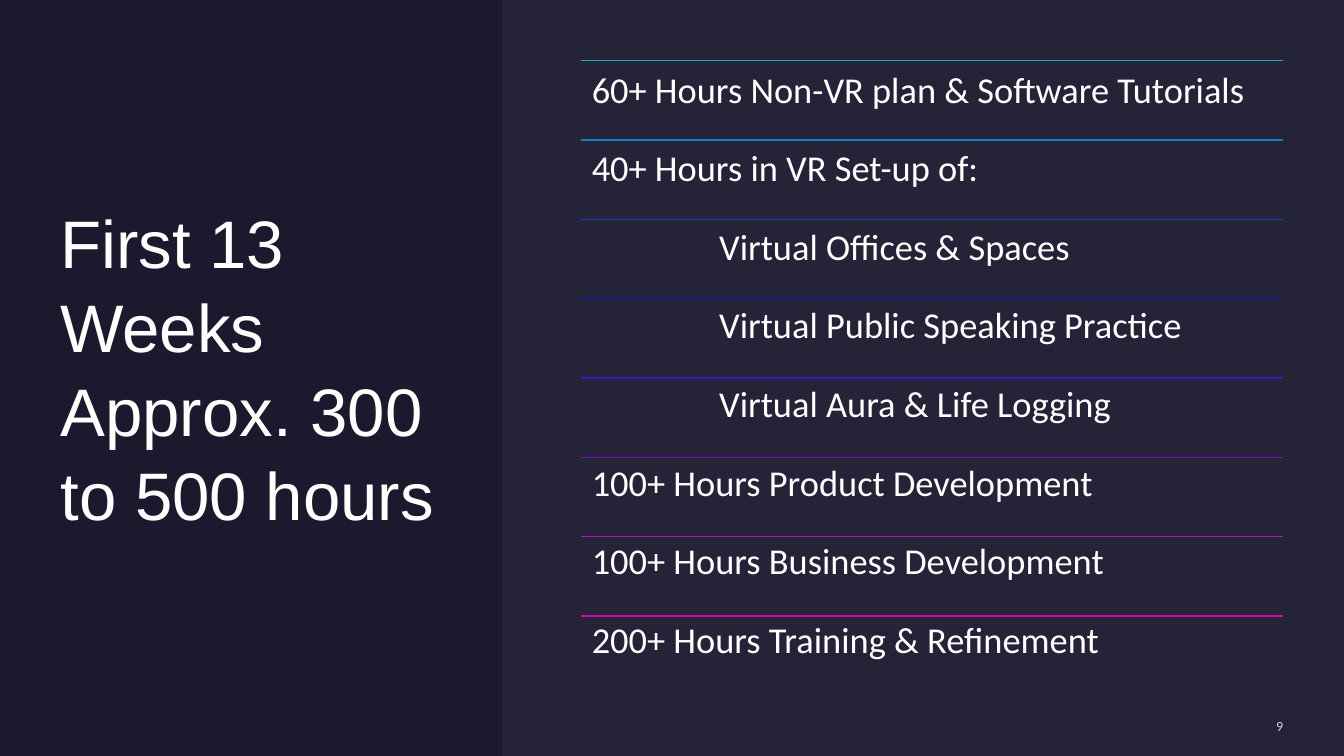
from dataclasses import dataclass

from lxml.etree import SubElement
from pptx import Presentation
from pptx.dml.color import RGBColor
from pptx.enum.shapes import MSO_CONNECTOR, MSO_SHAPE
from pptx.enum.text import MSO_ANCHOR, MSO_AUTO_SIZE, PP_ALIGN
from pptx.oxml.ns import qn
from pptx.util import Pt


@dataclass(frozen=True)
class Theme:
    background: str = "1B192E"
    panel: str = "E4E3F0"
    text: str = "FFFFFF"
    rules: tuple = ("12B1BF", "117EC2", "1048C5", "0F0FC8",
                    "470ECB", "820CCE", "C00BD1", "D40AA8")
    heading_font: str = "Arial"
    body_font: str = "Calibri"
    title_size: int = 48
    body_size: int = 26
    number_size: int = 10


WIDTH, HEIGHT = 960, 540
MARGIN = 43.2
PANEL_LEFT = 358.4
LIST_LEFT, LIST_WIDTH = 414.7, 501.8
ROW_HEIGHT = 56.7
SUB_INDENT = 91

ACTIVITIES = [
    ("60+ Hours Non-VR plan & Software Tutorials", 0),
    ("40+ Hours in VR Set-up of:", 0),
    ("Virtual Offices & Spaces", 1),
    ("Virtual Public Speaking Practice", 1),
    ("Virtual Aura & Life Logging", 1),
    ("100+ Hours Product Development", 0),
    ("100+ Hours Business Development", 0),
    ("200+ Hours Training & Refinement", 0),
]


class SlideBuilder:
    def __init__(self, presentation, theme):
        self.theme = theme
        self.slide = presentation.slides.add_slide(presentation.slide_layouts[1])
        fill = self.slide.background.fill
        fill.solid()
        fill.fore_color.rgb = RGBColor.from_string(theme.background)

    def set_alpha(self, color_parent, percent):
        color = next(color_parent.iter(qn("a:srgbClr")))
        SubElement(color, qn("a:alpha")).set("val", str(percent * 1000))

    def place(self, shape, left, top, width, height):
        shape.left, shape.top = Pt(left), Pt(top)
        shape.width, shape.height = Pt(width), Pt(height)

    def format_frame(self, frame, inset, anchor):
        frame.word_wrap = True
        frame.auto_size = MSO_AUTO_SIZE.NONE
        frame.vertical_anchor = anchor
        frame.margin_left = frame.margin_right = Pt(inset)
        frame.margin_top = frame.margin_bottom = Pt(inset)

    def format_runs(self, paragraph, name, size):
        for run in paragraph.runs:
            run.font.name = name
            run.font.size = Pt(size)
            run.font.color.rgb = RGBColor.from_string(self.theme.text)

    def panel(self, left, width, color, alpha=None):
        shape = self.slide.shapes.add_shape(
            MSO_SHAPE.RECTANGLE, Pt(left), Pt(0), Pt(width), Pt(HEIGHT))
        shape.shadow.inherit = False
        shape.fill.solid()
        shape.fill.fore_color.rgb = RGBColor.from_string(color)
        shape.line.fill.background()
        if alpha is not None:
            self.set_alpha(shape.element.spPr, alpha)
        self.slide.shapes.title.element.addprevious(shape.element)

    def title(self, text, left, top, width, height):
        title = self.slide.shapes.title
        self.place(title, left, top, width, height)
        self.format_frame(title.text_frame, 0, MSO_ANCHOR.MIDDLE)
        title.text_frame.text = text
        paragraph = title.text_frame.paragraphs[0]
        paragraph.alignment = PP_ALIGN.LEFT
        paragraph.line_spacing = 1.04
        self.format_runs(paragraph, self.theme.heading_font, self.theme.title_size)

    def activity_list(self, items, left, top, width):
        theme = self.theme
        body = self.slide.placeholders[1]
        self.place(body, left, top, width, ROW_HEIGHT * len(items))
        frame = body.text_frame
        self.format_frame(frame, 8, MSO_ANCHOR.TOP)
        frame.text = "\n".join(text for text, level in items)
        for paragraph, (text, level) in zip(frame.paragraphs, items):
            paragraph.level = level
            paragraph.alignment = PP_ALIGN.LEFT
            paragraph.line_spacing = 0.9
            paragraph.space_before = Pt(0)
            paragraph.space_after = Pt(28.1)
            properties = paragraph._p.get_or_add_pPr()
            properties.set("marL", str(Pt(SUB_INDENT * level)))
            properties.set("indent", "0")
            SubElement(properties, qn("a:buNone"))
            self.format_runs(paragraph, theme.body_font, theme.body_size)

    def rule(self, left, top, width, color):
        connector = self.slide.shapes.add_connector(
            MSO_CONNECTOR.STRAIGHT, Pt(left), Pt(top), Pt(left + width), Pt(top))
        connector.line.color.rgb = RGBColor.from_string(color)
        connector.line.width = Pt(1)
        SubElement(connector.element.spPr, qn("a:effectLst"))

    def page_number(self, text, left, top, width, height):
        box = self.slide.shapes.add_textbox(Pt(left), Pt(top), Pt(width), Pt(height))
        self.format_frame(box.text_frame, 0, MSO_ANCHOR.MIDDLE)
        box.text_frame.text = text
        paragraph = box.text_frame.paragraphs[0]
        paragraph.alignment = PP_ALIGN.RIGHT
        self.format_runs(paragraph, self.theme.body_font, self.theme.number_size)
        self.set_alpha(paragraph._p, 80)


def main():
    presentation = Presentation()
    presentation.slide_width, presentation.slide_height = Pt(WIDTH), Pt(HEIGHT)
    theme = Theme()
    builder = SlideBuilder(presentation, theme)
    builder.panel(0, WIDTH, theme.background)
    builder.panel(PANEL_LEFT, WIDTH - PANEL_LEFT, theme.panel, alpha=5)
    builder.title("First 13 Weeks\vApprox. 300 to 500 hours",
                  MARGIN, MARGIN, 280.8, 436.3)
    builder.activity_list(ACTIVITIES, LIST_LEFT, MARGIN, LIST_WIDTH)
    for row, color in enumerate(theme.rules):
        builder.rule(LIST_LEFT, MARGIN + row * ROW_HEIGHT, LIST_WIDTH, color)
    builder.page_number("9", 783.4, 512.6, 133.2, 12.2)
    presentation.save("out.pptx")


if __name__ == "__main__":
    main()
